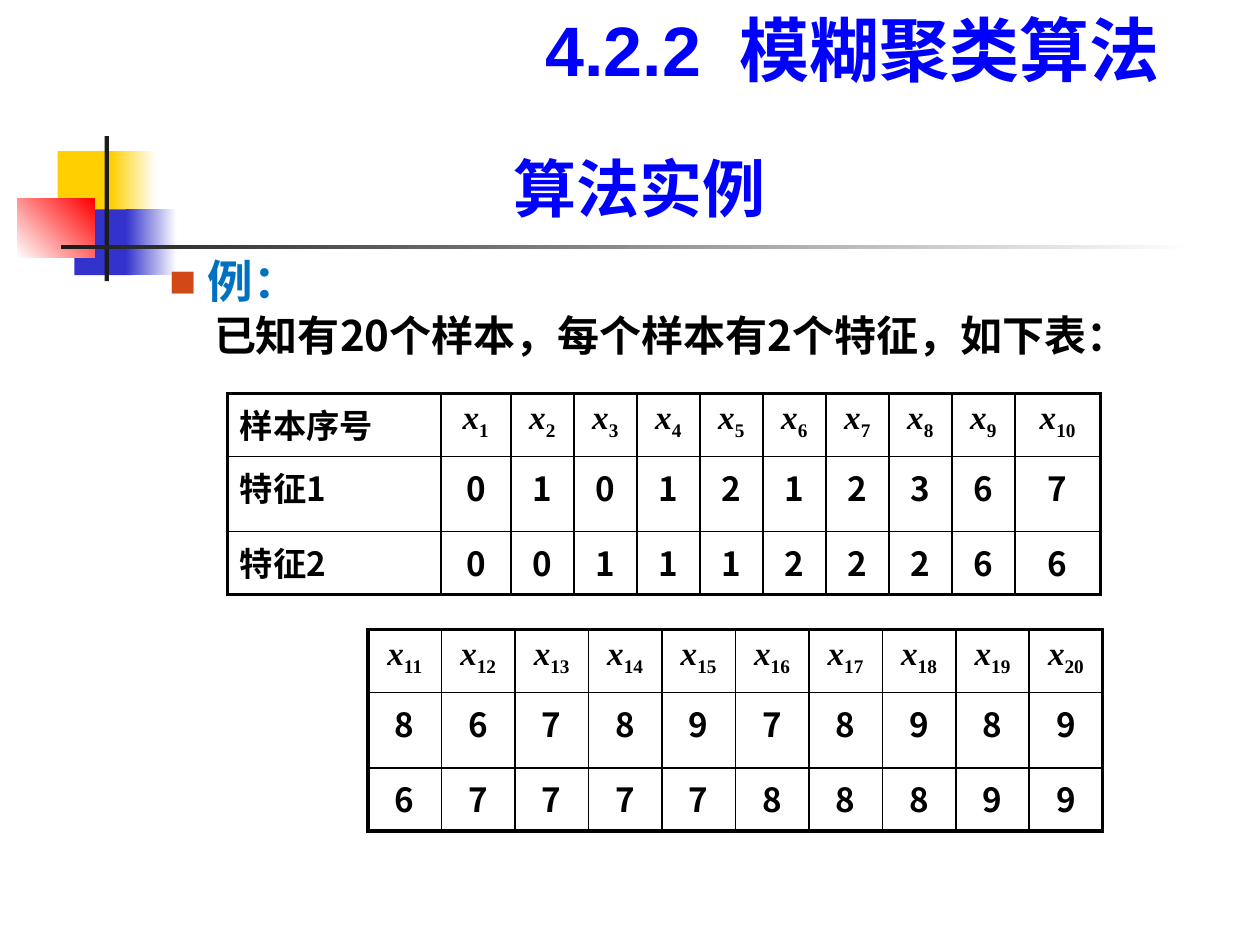
from lxml import etree
from pptx import Presentation
from pptx.dml.color import RGBColor
from pptx.enum.shapes import MSO_SHAPE
from pptx.enum.text import MSO_ANCHOR, PP_ALIGN
from pptx.oxml.ns import qn
from pptx.util import Pt

RECT = MSO_SHAPE.RECTANGLE
TOP, BOTTOM = MSO_ANCHOR.TOP, MSO_ANCHOR.BOTTOM
LEFT, CENTER = PP_ALIGN.LEFT, PP_ALIGN.CENTER
CJK, SERIF, SANS = "Noto Sans CJK SC", "Times New Roman", "Arial"
BLACK, BLUE, WHITE = "000000", "0000FF", "FFFFFF"
ROW_HEIGHTS = [36, 43, 36]


def rgb(value):
    return RGBColor.from_string(value)


def add_element(parent, tag, **attrs):
    return etree.SubElement(parent, qn(tag), attrs)


def add_block(s, box, color, end=None, angle=0):
    """Add a borderless rectangle, shaded from color to end if end is given."""
    sp = s.shapes.add_shape(RECT, *map(Pt, box))
    sp.shadow.inherit = False
    sp.line.fill.background()
    if end is None:
        sp.fill.solid()
        sp.fill.fore_color.rgb = rgb(color)
        return
    sp.fill.gradient()
    sp.fill.gradient_angle = angle
    for stop, (position, value) in zip(sp.fill.gradient_stops, [(0, color), (1, end)]):
        stop.position = position
        stop.color.rgb = rgb(value)


def style(p, size, color, font=CJK, align=LEFT):
    p.alignment = align
    p.font.size = Pt(size)
    p.font.bold = True
    p.font.name = font
    p.font.color.rgb = rgb(color)
    add_element(p.font._element, "a:ea", typeface=CJK)


def add_text_frame(s, box, anchor=TOP):
    tf = s.shapes.add_textbox(*map(Pt, box)).text_frame
    tf.word_wrap = True
    tf.vertical_anchor = anchor
    return tf


def add_heading(s, box, text, size, font, anchor=TOP):
    p = add_text_frame(s, box, anchor).paragraphs[0]
    p.text = text
    style(p, size, BLUE, font, CENTER)


def set_indent(p, margin, indent):
    pPr = p._p.get_or_add_pPr()
    pPr.set("marL", str(Pt(margin)))
    pPr.set("indent", str(Pt(indent)))
    return pPr


def add_example(s):
    tf = add_text_frame(s, (90, 144.7, 605, 100))
    p = tf.paragraphs[0]
    p.text = "例："
    p.line_spacing = 0.9
    pPr = set_indent(p, 21.6, -21.6)
    add_element(add_element(pPr, "a:buClr"), "a:srgbClr", val="D34817")
    add_element(pPr, "a:buSzPct", val="60000")
    add_element(pPr, "a:buFont", typeface=CJK)
    add_element(pPr, "a:buChar", char="■")
    style(p, 26, "0070C0")

    p = tf.add_paragraph()
    p.text = "已知有20个样本，每个样本有2个特征，如下表："
    p.line_spacing = 0.9
    p.space_before = Pt(3.8)
    set_indent(p, 43.2, -18)
    style(p, 24, BLACK)


def set_borders(cell, widths):
    """Set border widths in the order left, right, top, bottom."""
    tcPr = cell._tc.get_or_add_tcPr()
    for side, width in zip("LRTB", widths):
        ln = add_element(tcPr, "a:ln" + side, w=str(Pt(width)))
        add_element(add_element(ln, "a:solidFill"), "a:srgbClr", val=BLACK)


def fill_cell(cell, text):
    """Write the text; x and a number become a variable with a subscript."""
    p = cell.text_frame.paragraphs[0]
    if text.startswith("x"):
        r = p.add_run()
        r.text = "x"
        r.font.italic = True
        r = p.add_run()
        r.text = text[1:]
        r._r.get_or_add_rPr().set("baseline", "-25000")
        style(p, 19, BLACK, SERIF, CENTER)
    else:
        p.text = text
        style(p, 19, BLACK, CJK, CENTER if text.isdigit() else LEFT)


def add_data_table(s, left, top, widths, rows):
    n_rows, n_cols = len(rows), len(widths)
    table = s.shapes.add_table(n_rows, n_cols, Pt(left), Pt(top),
                               Pt(sum(widths)), Pt(sum(ROW_HEIGHTS))).table
    table.first_row = table.horz_banding = False
    for column, width in zip(table.columns, widths):
        column.width = Pt(width)
    for i, (row, height) in enumerate(zip(rows, ROW_HEIGHTS)):
        table.rows[i].height = Pt(height)
        for j, text in enumerate(row):
            cell = table.cell(i, j)
            fill_cell(cell, text)
            outer = (j == 0, j == n_cols - 1, i == 0, i == n_rows - 1)
            set_borders(cell, [2.25 if edge else 1 for edge in outer])
            cell.fill.background()


def add_ornament(s):
    add_block(s, (33, 86.4, 35, 37.5), "FFCF01")
    add_block(s, (63.2, 86.4, 26, 37.5), "FFCF01", WHITE)
    add_block(s, (42.5, 119.7, 33, 37.5), "3333CC")
    add_block(s, (72, 119.7, 29, 37.5), "3333CC", WHITE)
    add_block(s, (9.8, 113.7, 44.3, 33.5), WHITE, "FF0000", 45)
    add_block(s, (59.8, 77.8, 2.5, 82.8), "1C1C1C")
    add_block(s, (34.7, 140, 648, 2.5), "1C1C1C", WHITE)


def main():
    prs = Presentation()
    prs.slide_width, prs.slide_height = Pt(720), Pt(540)
    s = prs.slides.add_slide(prs.slide_layouts[6])
    add_ornament(s)
    add_heading(s, (84.2, 84.2, 562.3, 48.2), "算法实例", 36, SERIF, BOTTOM)
    add_example(s)
    names = [f"x{n}" for n in range(1, 21)]
    add_data_table(s, 129.9, 224.8, [122, 40] + [36] * 8 + [49], [
        ["样本序号", *names[:10]],
        ["特征1", *"0101212367"],
        ["特征2", *"0011122266"],
    ])
    add_data_table(s, 210.3, 359.8, [42] * 10, [
        names[10:],
        "8678978989",
        "6777788899",
    ])
    add_heading(s, (254.2, 0, 465.8, 55.4), "4.2.2  模糊聚类算法", 40, SANS)
    prs.save("out.pptx")


if __name__ == "__main__":
    main()
